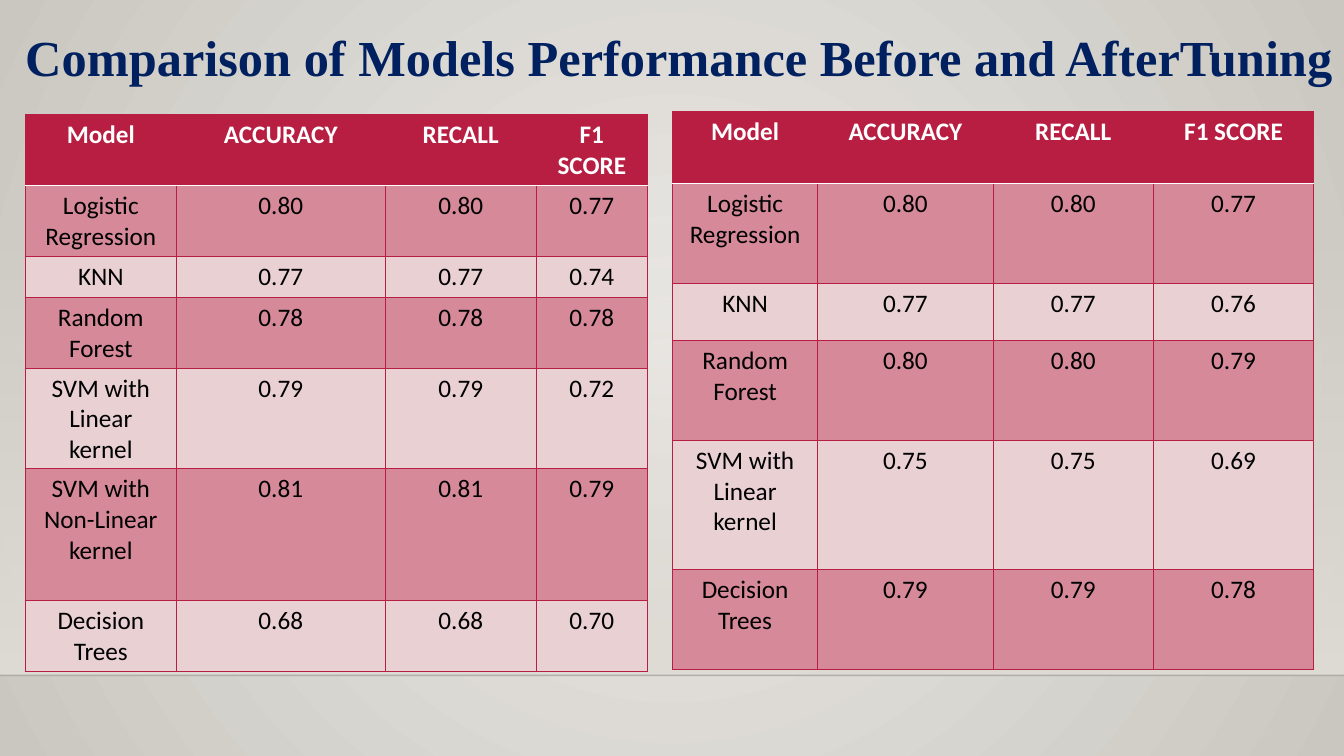
from dataclasses import dataclass

from lxml.etree import SubElement
from pptx import Presentation
from pptx.dml.color import RGBColor as RGB
from pptx.dml.fill import FillFormat as Fill
from pptx.enum.shapes import MSO_CONNECTOR as Link, MSO_SHAPE as Form
from pptx.enum.text import MSO_ANCHOR as Anchor, MSO_AUTO_SIZE as Auto, PP_ALIGN as Align
from pptx.oxml import parse_xml
from pptx.oxml.ns import nsdecls, qn
from pptx.slide import Slide
from pptx.table import _Cell as Cell
from pptx.text.text import TextFrame as Frame
from pptx.util import Inches, Pt


@dataclass(frozen=True)
class Theme:
    navy: str = "002060"
    red: str = "B71E42"
    rose: str = "D58999"
    pale: str = "E9D0D3"
    white: str = "FFFFFF"
    black: str = "000000"
    edge: str = "000001"
    glow: str = "ECEAE7"
    rim: str = "CAC7C1"
    floor: str = "DFDBD5"
    serif: str = "Times New Roman"
    sans: str = "Calibri"
    head: float = 36
    body: float = 18
    thin: float = 0.75
    thick: float = 1.25


@dataclass(frozen=True)
class Grid:
    left: float
    top: float
    cols: tuple[float, ...]
    rows: tuple[float, ...]
    data: tuple[tuple[str, ...], ...]


THEME = Theme()
HEADS = ("Model", "ACCURACY", "RECALL", "F1 SCORE")
WIDTH, HEIGHT, FLOOR = 13.33, 7.5, 6.7

BEFORE = Grid(
    0.25, 1.14, (1.5, 2.07, 1.5, 1.1), (0.7, 0.7, 0.41, 0.7, 1.0, 1.31, 0.7),
    (
        ("Logistic Regression", "0.80", "0.80", "0.77"),
        ("KNN", "0.77", "0.77", "0.74"),
        ("Random Forest", "0.78", "0.78", "0.78"),
        ("SVM with Linear kernel", "0.79", "0.79", "0.72"),
        ("SVM with Non-Linear kernel", "0.81", "0.81", "0.79"),
        ("Decision Trees", "0.68", "0.68", "0.70"),
    ),
)
AFTER = Grid(
    6.67, 1.11, (1.44, 1.74, 1.59, 1.59), (0.71, 0.99, 0.57, 0.99, 1.28, 0.99),
    (
        ("Logistic Regression", "0.80", "0.80", "0.77"),
        ("KNN", "0.77", "0.77", "0.76"),
        ("Random Forest", "0.80", "0.80", "0.79"),
        ("SVM with Linear kernel", "0.75", "0.75", "0.69"),
        ("Decision Trees", "0.79", "0.79", "0.78"),
    ),
)


def write(frame: Frame, text: str, font: str, size: float, color: str,
          bold: bool, align: Align) -> None:
    para = frame.paragraphs[0]
    para.alignment = align
    run = para.add_run()
    run.text = text
    run.font.name = font
    run.font.size = Pt(size)
    run.font.bold = bold
    run.font.color.rgb = RGB.from_string(color)


def blend(fill: Fill, first: str, last: str) -> None:
    """Fill with a two-colour gradient that runs downwards."""
    fill.gradient()
    fill.gradient_angle = 270
    for stop, color in zip(fill.gradient_stops, (first, last)):
        stop.color.rgb = RGB.from_string(color)


def fade(color, share: int) -> None:
    """Set the opacity of a colour element in percent."""
    SubElement(color, qn("a:alpha")).set("val", str(share * 1000))


def border(cell: Cell, top: bool, base: bool) -> None:
    """Rule a cell in red, with white at the top or base where asked."""
    props = cell._tc.get_or_add_tcPr()
    sides = (("lnL", False), ("lnR", False), ("lnT", top), ("lnB", base))
    for spot, (side, light) in enumerate(sides):
        width = Pt(THEME.thick if light else THEME.thin)
        color = THEME.white if light else THEME.red
        props.insert(spot, parse_xml(
            f'<a:{side} {nsdecls("a")} w="{width}"><a:solidFill>'
            f'<a:srgbClr val="{color}"/></a:solidFill></a:{side}>'))


def backdrop(slide: Slide) -> None:
    blend(slide.background.fill, THEME.glow, THEME.rim)
    line = next(slide.background._cSld.iter(qn("a:lin")))
    line.getparent().replace(line, parse_xml(
        f'<a:path {nsdecls("a")} path="circle">'
        '<a:fillToRect l="50000" t="50000" r="50000" b="50000"/></a:path>'))

    wall = slide.shapes.add_shape(
        Form.RECTANGLE, 0, Inches(2.21), Inches(WIDTH), Inches(FLOOR - 2.21))
    wall.shadow.inherit = False
    wall.line.fill.background()
    blend(wall.fill, THEME.floor, THEME.floor)
    fade(next(wall._element.spPr.iter(qn("a:srgbClr"))), 0)

    rule = slide.shapes.add_connector(
        Link.STRAIGHT, 0, Inches(FLOOR), Inches(WIDTH), Inches(FLOOR))
    rule.line.width = Pt(1)
    rule.line.color.rgb = RGB.from_string(THEME.edge)
    fade(next(rule._element.spPr.iter(qn("a:srgbClr"))), 20)
    SubElement(rule._element.spPr, qn("a:effectLst"))


def title(slide: Slide, text: str) -> None:
    box = slide.shapes.title
    box.left, box.top = Inches(0.15), Inches(0.21)
    box.width, box.height = Inches(13.39), Inches(0.71)
    frame = box.text_frame
    frame.word_wrap = True
    frame.auto_size = Auto.SHAPE_TO_FIT_TEXT
    frame.vertical_anchor = Anchor.TOP
    write(frame, text, THEME.serif, THEME.head, THEME.navy, True, Align.LEFT)


def draw(slide: Slide, grid: Grid) -> None:
    table = slide.shapes.add_table(
        len(grid.rows), len(grid.cols), Inches(grid.left), Inches(grid.top),
        Inches(sum(grid.cols)), Inches(sum(grid.rows))).table
    for col, width in zip(table.columns, grid.cols):
        col.width = Inches(width)
    for row, height in zip(table.rows, grid.rows):
        row.height = Inches(height)
    for r, texts in enumerate((HEADS, *grid.data)):
        head = r == 0
        shade = THEME.red if head else THEME.rose if r % 2 else THEME.pale
        ink = THEME.white if head else THEME.black
        for c, text in enumerate(texts):
            cell = table.cell(r, c)
            cell.fill.solid()
            cell.fill.fore_color.rgb = RGB.from_string(shade)
            border(cell, top=r == 1, base=head)
            write(cell.text_frame, text, THEME.sans, THEME.body, ink, head, Align.CENTER)


def main() -> None:
    deck = Presentation()
    deck.slide_width, deck.slide_height = Inches(WIDTH), Inches(HEIGHT)
    slide = deck.slides.add_slide(deck.slide_layouts[5])
    backdrop(slide)
    title(slide, "Comparison of Models Performance Before and AfterTuning")
    for grid in (BEFORE, AFTER):
        draw(slide, grid)
    deck.save("out.pptx")


if __name__ == "__main__":
    main()
